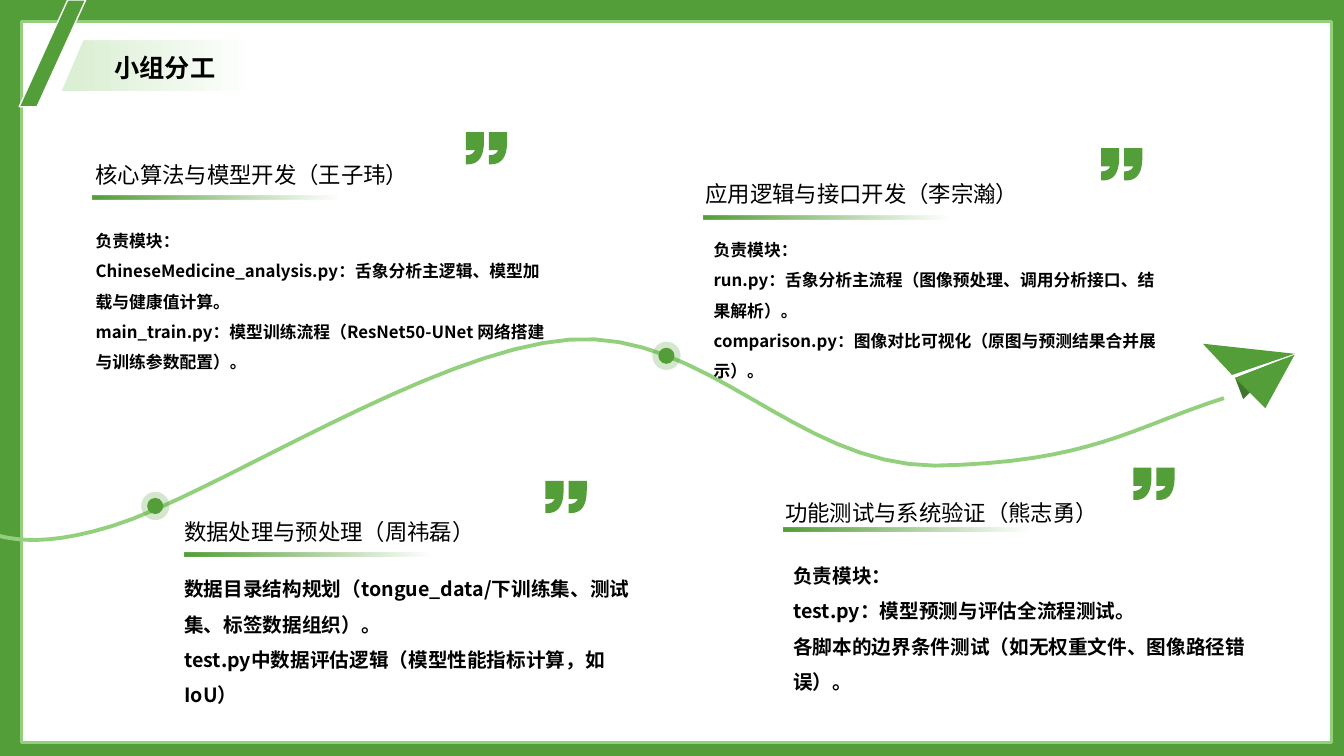
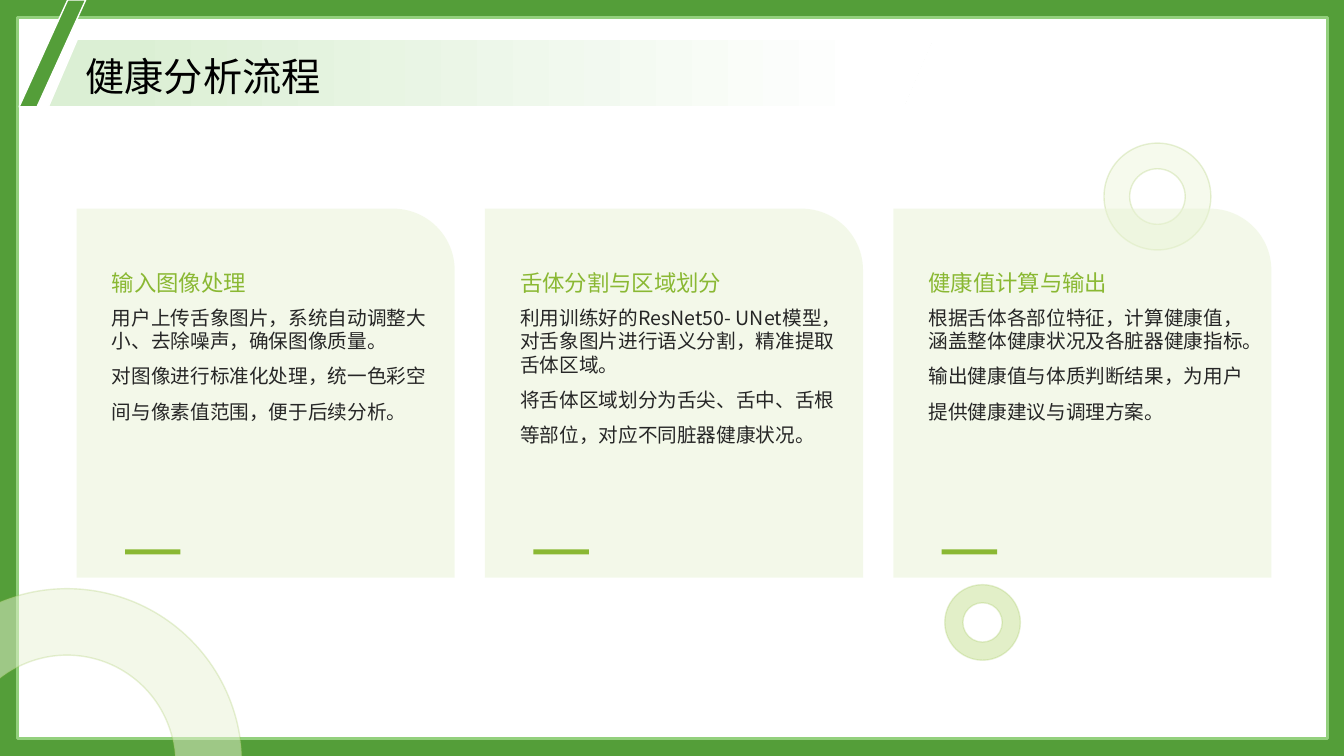
from lxml import etree
from pptx import Presentation
from pptx.dml.color import RGBColor
from pptx.enum.shapes import MSO_SHAPE
from pptx.enum.text import MSO_ANCHOR, MSO_AUTO_SIZE, PP_ALIGN
from pptx.oxml.ns import qn
from pptx.util import Inches, Pt

RECT, OVAL, DONUT = MSO_SHAPE.RECTANGLE, MSO_SHAPE.OVAL, MSO_SHAPE.DONUT
SLANTED, CARD = MSO_SHAPE.PARALLELOGRAM, MSO_SHAPE.ROUND_1_RECTANGLE
TOP, MIDDLE, BOTTOM = MSO_ANCHOR.TOP, MSO_ANCHOR.MIDDLE, MSO_ANCHOR.BOTTOM
LEFT, CENTER = PP_ALIGN.LEFT, PP_ALIGN.CENTER
NO_AUTOFIT = MSO_AUTO_SIZE.NONE

FONT = "Noto Sans CJK SC"
GREEN, DARK_GREEN, LIGHT_GREEN = "549E39", "3F762B", "93D07D"
LIME, PALE_LIME, PALE_GREEN = "8AB833", "E8F3D4", "DBEFD4"
WHITE, BLACK, INK = "FFFFFF", "000000", "262626"

# Team roles: heading, its place, rule place, quote place, body place, body size, body
ROLES = [
    ("核心算法与模型开发（王子玮）", (0.85, 1.41), (0.92, 1.94), (4.62, 1.31), (0.85, 2.14), 12,
     ["负责模块：",
      "ChineseMedicine_analysis.py：舌象分析主逻辑、模型加载与健康值计算。",
      "main_train.py：模型训练流程（ResNet50-UNet 网络搭建与训练参数配置）。"]),
    ("应用逻辑与接口开发（李宗瀚）", (6.9, 1.6), (6.98, 2.14), (10.92, 1.47), (6.98, 2.23), 12,
     ["负责模块：",
      "run.py：舌象分析主流程（图像预处理、调用分析接口、结果解析）。",
      "comparison.py：图像对比可视化（原图与预测结果合并展示）。"]),
    ("数据处理与预处理（周祎磊）", (1.73, 4.96), (1.83, 5.48), (5.41, 4.77), (1.73, 5.56), 14,
     ["数据目录结构规划（tongue_data/下训练集、测试集、标签数据组织）。",
      "test.py中数据评估逻辑（模型性能指标计算，如 IoU）"]),
    ("功能测试与系统验证（熊志勇）", (7.69, 4.77), (7.77, 5.23), (11.24, 4.64), (7.77, 5.43), 14,
     ["负责模块：",
      "test.py：模型预测与评估全流程测试。",
      "各脚本的边界条件测试（如无权重文件、图像路径错误）。"]),
]

# Flight: cubic steps of six numbers, straight steps of two
FLIGHT = [(-0.39, 5.21), (-0.14, 5.22, 0.1, 5.53, 1.11, 5.22),
          (2.12, 4.91, 4.29, 3.47, 5.65, 3.37), (7.01, 3.27, 7.88, 4.61, 9.27, 4.62),
          (10.82, 4.59, 11.23, 4.24, 12.14, 3.95)]
STOPS = [(1.54, 5.02), (6.61, 3.53)]
PLANE = [(GREEN, [(11.93, 3.41), (12.84, 3.51), (12.22, 3.72)]),
         (DARK_GREEN, [(12.74, 3.56), (12.33, 3.96), (12.25, 3.75)]),
         (GREEN, [(12.84, 3.52), (12.55, 4.05), (12.25, 3.75)])]
QUOTE_MARK = [(0, 0), (0.18, 0), (0.18, 0.09), (0.18, 0.24, 0.13, 0.32, 0.02, 0.32),
              (0, 0.32), (0, 0.23), (0.05, 0.23, 0.08, 0.21, 0.09, 0.18), (0, 0.18)]
QUOTE_STEP = 0.23

# Health analysis steps
STEPS = [
    ("输入图像处理",
     ["用户上传舌象图片，系统自动调整大小、去除噪声，确保图像质量。",
      "对图像进行标准化处理，统一色彩空间与像素值范围，便于后续分析。"]),
    ("舌体分割与区域划分",
     ["利用训练好的ResNet50- UNet模型，对舌象图片进行语义分割，精准提取舌体区域。",
      "将舌体区域划分为舌尖、舌中、舌根等部位，对应不同脏器健康状况。"]),
    ("健康值计算与输出",
     ["根据舌体各部位特征，计算健康值，涵盖整体健康状况及各脏器健康指标。",
      "输出健康值与体质判断结果，为用户提供健康建议与调理方案。"]),
]
# Rings: left, top, diameter, thickness, colour, opacity
RINGS = [(-1.07, 5.84, 3.47, 0.19, PALE_LIME, 50),
         (10.95, 1.42, 1.06, 0.24, "D2E7A9", 20),
         (9.37, 5.8, 0.75, 0.24, "BBDB7E", 42)]


def rgb(colour):
    return RGBColor.from_string(colour)


def set_opacity(shape, index, percent):
    """Set the opacity of the shape's colour at index (fill first, then line)."""
    colours = list(shape.element.spPr.iter(qn("a:srgbClr")))
    etree.SubElement(colours[index], qn("a:alpha")).set("val", str(percent * 1000))


def paint(shape, fill=None, line=None, width=1):
    """Fill with a colour, or with a gradient given as (position, colour) pairs."""
    shape.shadow.inherit = False
    if fill is None:
        shape.fill.background()
    elif isinstance(fill, str):
        shape.fill.solid()
        shape.fill.fore_color.rgb = rgb(fill)
    else:
        shape.fill.gradient()
        shape.fill.gradient_angle = 0
        for stop, (position, colour) in zip(shape.fill.gradient_stops, fill):
            stop.position = position
            stop.color.rgb = rgb(colour)
    if line:
        shape.line.color.rgb = rgb(line)
        shape.line.width = Pt(width)
    else:
        shape.line.fill.background()
    return shape


def add_part(slide, preset, box, fill, line=None, width=1, adjust=None):
    shape = slide.shapes.add_shape(preset, *map(Inches, box))
    if adjust is not None:
        shape.adjustments[0] = adjust
    return paint(shape, fill, line, width)


def flatten(steps, dx=0, dy=0, pieces=16):
    """Turn straight and cubic steps into points in EMU."""
    points = [steps[0]]
    for step in steps[1:]:
        if len(step) == 2:
            points.append(step)
            continue
        start, controls = points[-1], (step[0:2], step[2:4], step[4:6])
        for n in range(1, pieces + 1):
            t = n / pieces
            weights = ((1 - t) ** 3, 3 * t * (1 - t) ** 2, 3 * t * t * (1 - t), t ** 3)
            points.append(tuple(sum(w * p[axis] for w, p in zip(weights, (start, *controls)))
                                for axis in (0, 1)))
    return [(Inches(x + dx), Inches(y + dy)) for x, y in points]


def add_outline(slide, contours, closed=True):
    builder = slide.shapes.build_freeform(*contours[0][0])
    for number, points in enumerate(contours):
        if number:
            builder.move_to(*points[0])
        builder.add_line_segments(points[1:], close=closed)
    return builder.convert_to_shape()


def write(shape, lines, size, colour, spacings, bold=False, anchor=TOP, align=LEFT, inset=True):
    frame = shape.text_frame
    frame.word_wrap = True
    frame.auto_size = NO_AUTOFIT
    frame.vertical_anchor = anchor
    side, end = (0.1, 0.05) if inset else (0, 0)
    frame.margin_left = frame.margin_right = Inches(side)
    frame.margin_top = frame.margin_bottom = Inches(end)
    frame.text = "\n".join(lines)
    for paragraph, spacing in zip(frame.paragraphs, spacings):
        paragraph.alignment = align
        paragraph.line_spacing = spacing
        font = paragraph.font
        font.name, font.size, font.bold = FONT, Pt(size), bold
        font.color.rgb = rgb(colour)
        defaults = paragraph._p.pPr.find(qn("a:defRPr"))
        etree.SubElement(defaults, qn("a:ea")).set("typeface", FONT)


def add_text(slide, box, lines, size, colour, spacings, **style):
    write(slide.shapes.add_textbox(*map(Inches, box)), lines, size, colour, spacings, **style)


def add_framed_slide(deck, margin):
    slide = deck.slides.add_slide(deck.slide_layouts[5])
    add_part(slide, RECT, (0, 0, 13.33, 7.5), GREEN)
    add_part(slide, RECT, (margin, margin, 13, 7.16), WHITE, LIGHT_GREEN, 2)
    return slide


def add_title(slide, text, band, box, size, **style):
    add_part(slide, SLANTED, band, [(0.08, PALE_GREEN), (0.93, WHITE)], WHITE, adjust=0.43)
    title = slide.shapes.title
    title.left, title.top, title.width, title.height = map(Inches, box)
    write(title, [text], size, BLACK, [1.1], anchor=MIDDLE, **style)
    title.element.getparent().append(title.element)  # lift above the band
    add_part(slide, SLANTED, (0.19, 0, 0.66, 1.06), GREEN, WHITE, adjust=0.73)


def build_team(deck):
    slide = add_framed_slide(deck, 0.21)

    # Flight line with its stops
    paint(add_outline(slide, [flatten(FLIGHT)], closed=False), None, LIGHT_GREEN, 2.75)
    for x, y in STOPS:
        for diameter, opacity in ((0.28, 25), (0.16, 100)):
            corner = (x - diameter / 2, y - diameter / 2)
            set_opacity(add_part(slide, OVAL, (*corner, diameter, diameter), GREEN), 0, opacity)

    # Paper plane
    for colour, corners in PLANE:
        paint(add_outline(slide, [flatten(corners)]), colour)

    # Roles
    for heading, heading_at, rule_at, quote_at, body_at, size, body in ROLES:
        add_text(slide, (*heading_at, 3.55, 0.5), [heading], 16, BLACK, [1.3], anchor=BOTTOM)
        rule = add_part(slide, RECT, (*rule_at, 3.24, 0.04), [(0, GREEN), (0.75, GREEN)])
        set_opacity(rule, 1, 0)
        x, y = quote_at
        marks = [flatten(QUOTE_MARK, x + n * QUOTE_STEP, y) for n in range(2)]
        paint(add_outline(slide, marks), GREEN)
        add_text(slide, (*body_at, 4.71, 1.15), body, size, BLACK, [1.5] * len(body), bold=True)

    band = (0.6, 0.39, 2.07, 0.52)
    add_title(slide, "小组分工", band, band, 18, bold=True, align=CENTER)


def build_process(deck):
    slide = add_framed_slide(deck, 0.17)

    # Rings
    for left, top, diameter, thickness, colour, opacity in RINGS:
        ring = add_part(slide, DONUT, (left, top, diameter, diameter), colour, LIME,
                        adjust=thickness)
        set_opacity(ring, 0, opacity)
        set_opacity(ring, 1, 20)

    # Step cards
    for number, (heading, body) in enumerate(STEPS):
        left = 0.76 + 4.05 * number
        set_opacity(add_part(slide, CARD, (left, 2.07, 3.75, 3.66), PALE_LIME), 0, 50)
        add_text(slide, (left + 0.35, 2.23, 3.16, 0.71), [heading], 16, LIME, [1.3],
                 anchor=BOTTOM, inset=False)
        add_text(slide, (left + 0.35, 3.03, 3.16, 1.95), body, 14, INK, [1.0, 1.5], inset=False)
        add_part(slide, RECT, (left + 0.48, 5.45, 0.55, 0.05), LIME)

    add_title(slide, "健康分析流程", (0.48, 0.39, 8.77, 0.67), (0.85, 0.47, 6.47, 0.51), 28,
              inset=False)


def main():
    deck = Presentation()
    deck.slide_width, deck.slide_height = Inches(13.33), Inches(7.5)
    build_team(deck)
    build_process(deck)
    deck.save("out.pptx")


if __name__ == "__main__":
    main()
